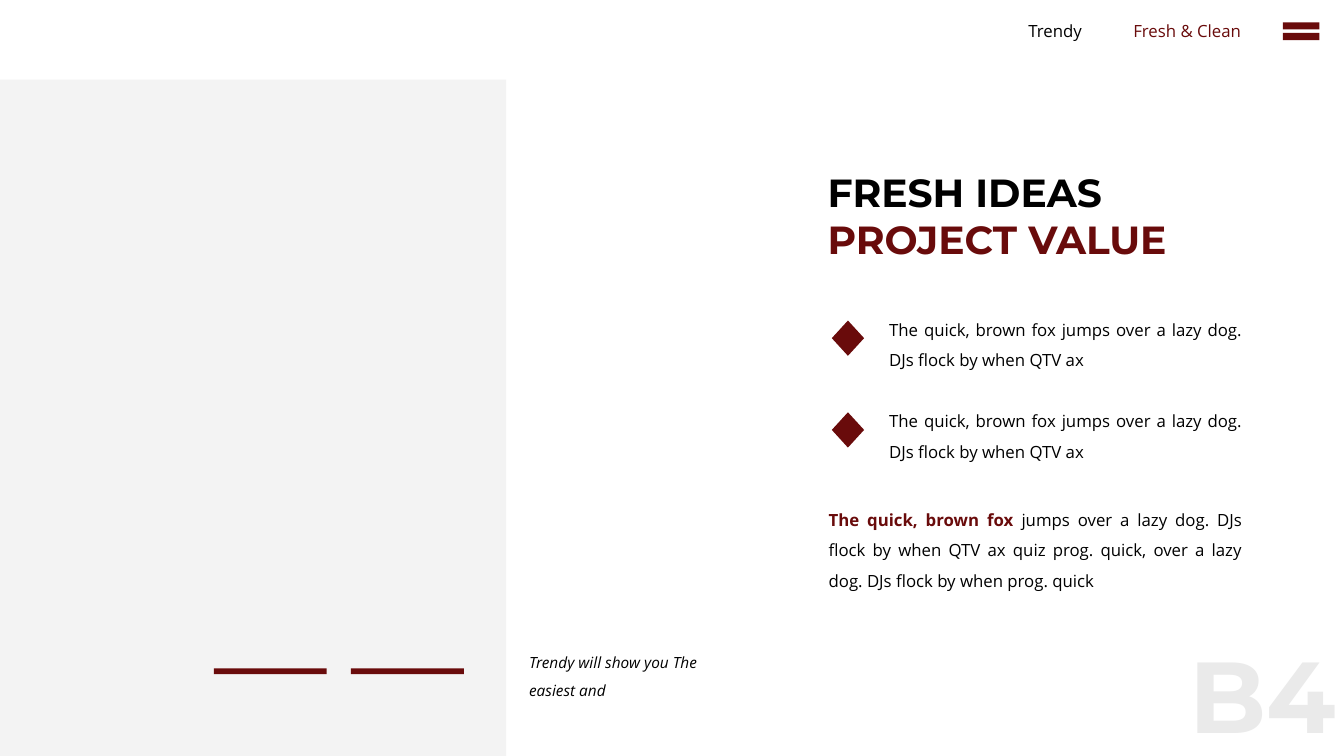
from dataclasses import dataclass

from lxml.etree import SubElement
from pptx import Presentation
from pptx.dml.color import RGBColor
from pptx.enum.shapes import MSO_SHAPE
from pptx.enum.text import MSO_AUTO_SIZE, PP_ALIGN
from pptx.oxml.ns import qn
from pptx.util import Inches, Pt


@dataclass(frozen=True)
class Theme:
    red: str = "690B0B"
    black: str = "000000"
    panel: str = "F2F2F2"
    pale: str = "EAEAEA"
    head: str = "Montserrat"
    body: str = "Open Sans"
    small: int = 11
    text: int = 12
    title: int = 28
    huge: int = 72


class Deck:
    def __init__(self, theme):
        self.theme = theme
        self.file = Presentation()
        self.file.slide_width = Inches(13.33)
        self.file.slide_height = Inches(7.5)
        self.slide = self.file.slides.add_slide(self.file.slide_layouts[6])

    def shape(self, kind, box, color, alpha=None):
        item = self.slide.shapes.add_shape(kind, *map(Inches, box))
        item.shadow.inherit = False
        item.fill.solid()
        item.fill.fore_color.rgb = RGBColor.from_string(color)
        item.line.fill.background()
        if alpha:
            tint = item.fill._xPr.find(".//" + qn("a:srgbClr"))
            SubElement(tint, qn("a:alpha")).set("val", str(alpha * 1000))

    def text(self, box, runs, size, font=None, align=PP_ALIGN.LEFT,
             space=1.0, wrap=True, pad=(0.1, 0.05), **style):
        frame = self.slide.shapes.add_textbox(*map(Inches, box)).text_frame
        side, edge = map(Inches, pad)
        form = {"word_wrap": wrap, "auto_size": MSO_AUTO_SIZE.SHAPE_TO_FIT_TEXT,
                "margin_left": side, "margin_right": side,
                "margin_top": edge, "margin_bottom": edge}
        for key, value in form.items():
            setattr(frame, key, value)
        para = frame.paragraphs[0]
        para.alignment = align
        para.line_spacing = space
        for words, color, bold in runs:
            run = para.add_run()
            run.text = words
            look = {"name": font or self.theme.body, "size": Pt(size),
                    "bold": bold, **style}
            for key, value in look.items():
                setattr(run.font, key, value)
            run.font.color.rgb = RGBColor.from_string(color)


def main():
    theme = Theme()
    deck = Deck(theme)
    deck.shape(MSO_SHAPE.RECTANGLE, (0, 0.79, 5.02, 6.71), theme.panel, 90)
    for left in (3.48, 2.12):
        deck.shape(MSO_SHAPE.RECTANGLE, (left, 6.63, 1.12, 0.06), theme.red)

    deck.text((11.8, 6.28, 1.53, 1.22), [("B4", theme.pale, True)],
              theme.huge, theme.head, pad=(0, 0))
    deck.text((5.15, 6.34, 2.03, 0.63),
              [("Trendy will show you The easiest and", theme.black, False)],
              theme.small, space=1.5, italic=True)

    menu = [("Trendy", 10.09, 0.75, theme.black),
            ("Fresh & Clean", 11.13, 1.29, theme.red)]
    for label, left, width, color in menu:
        deck.text((left, 0.16, width, 0.3), [(label, color, False)],
                  theme.text, align=PP_ALIGN.CENTER, wrap=False)
    deck.shape(MSO_SHAPE.MATH_EQUAL, (12.66, 0.16, 0.49, 0.3), theme.red)

    deck.text((8.11, 1.62, 3.73, 1.04),
              [("FRESH IDEAS ", theme.black, True),
               ("PROJECT VALUE", theme.red, True)],
              theme.title, theme.head)

    point = "The quick, brown fox jumps over a lazy dog. DJs flock by when QTV ax"
    for row in range(2):
        drop = row * 0.91
        deck.shape(MSO_SHAPE.DIAMOND, (8.25, 3.18 + drop, 0.32, 0.35), theme.red)
        deck.text((8.72, 3.02 + drop, 3.7, 0.67), [(point, theme.black, False)],
                  theme.text, align=PP_ALIGN.JUSTIFY, space=1.5)

    deck.text((8.12, 4.91, 4.3, 0.98),
              [("The quick, brown fox ", theme.red, True),
               ("jumps over a lazy dog. DJs flock by when QTV ax quiz prog. "
                "quick, over a lazy dog. DJs flock by when prog. quick",
                theme.black, False)],
              theme.text, align=PP_ALIGN.JUSTIFY, space=1.5)
    deck.file.save("out.pptx")


if __name__ == "__main__":
    main()
